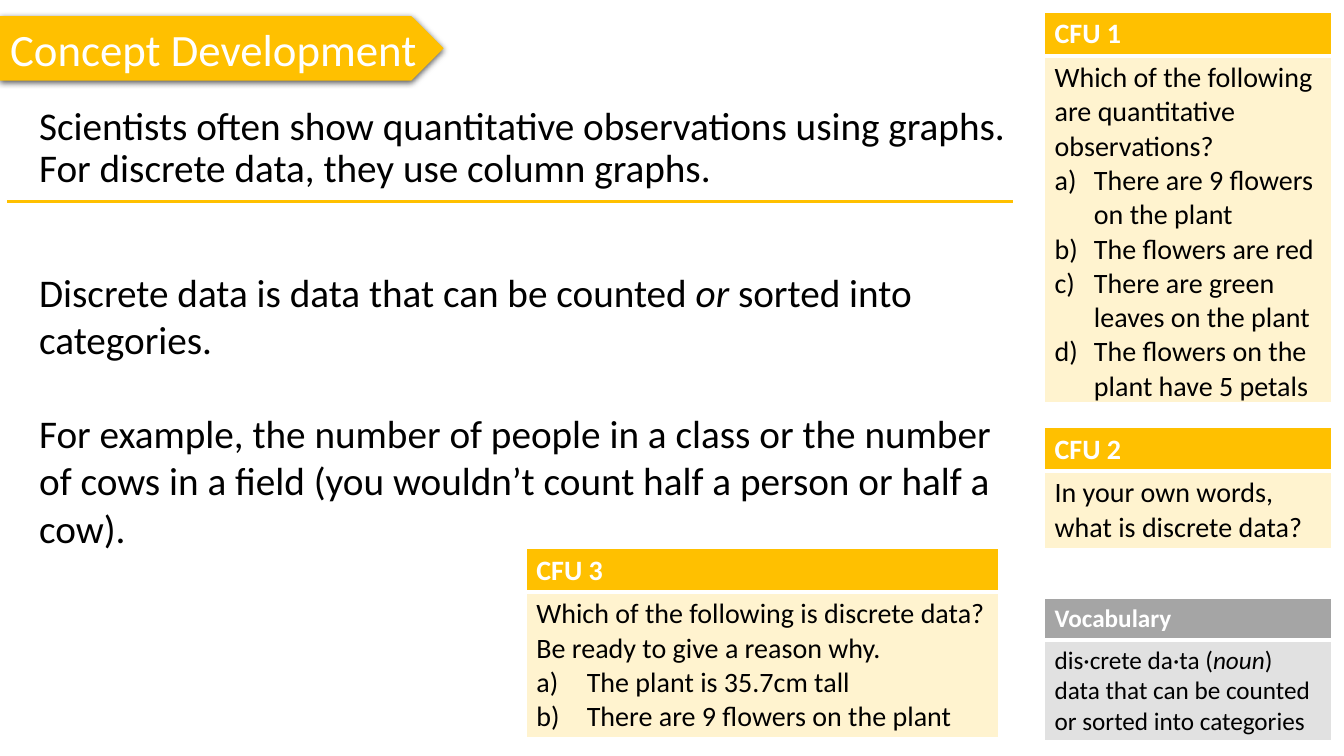
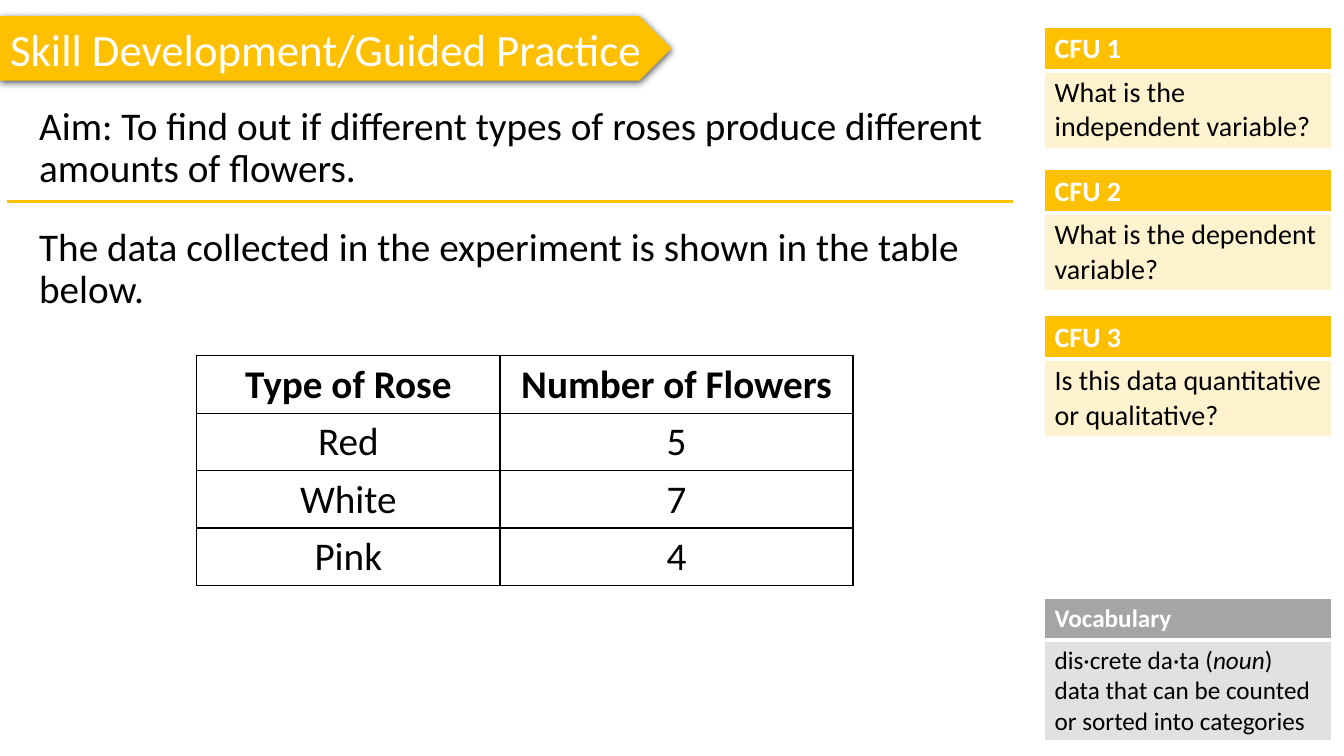
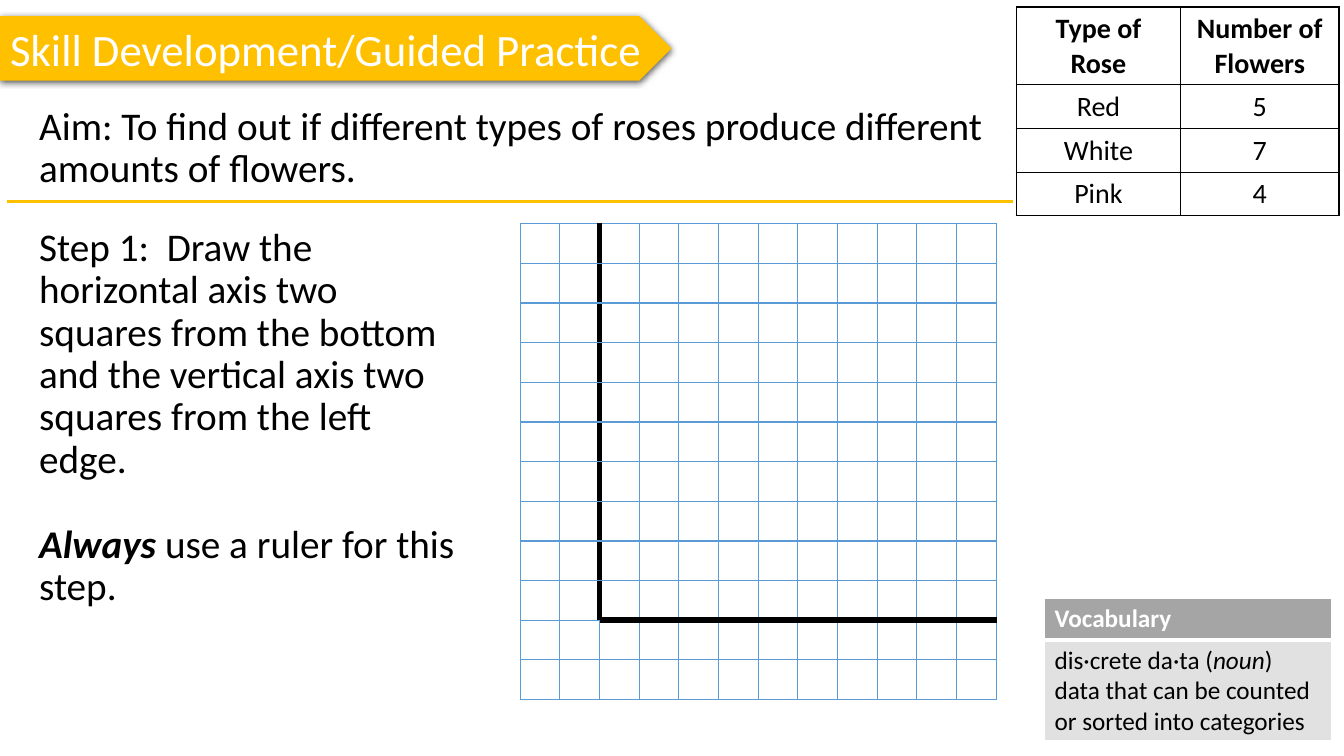
from lxml import etree
from pptx import Presentation
from pptx.dml.color import RGBColor
from pptx.enum.shapes import MSO_CONNECTOR, MSO_SHAPE
from pptx.enum.text import MSO_ANCHOR, MSO_AUTO_SIZE, PP_ALIGN
from pptx.oxml.ns import qn
from pptx.util import Inches, Pt

PENTAGON = MSO_SHAPE.PENTAGON
STRAIGHT = MSO_CONNECTOR.STRAIGHT
MIDDLE, TOP = MSO_ANCHOR.MIDDLE, MSO_ANCHOR.TOP
LEFT, CENTER = PP_ALIGN.LEFT, PP_ALIGN.CENTER
FIXED = MSO_AUTO_SIZE.NONE

GOLD = RGBColor(0xFF, 0xC0, 0x00)
CREAM = RGBColor(0xFF, 0xE6, 0x99)
GREY = RGBColor(0xA5, 0xA5, 0xA5)
PALE_GREY = RGBColor(0xE1, 0xE1, 0xE1)
GRID_BLUE = RGBColor(0x5B, 0x9B, 0xD5)
BLACK = RGBColor(0x00, 0x00, 0x00)
WHITE = RGBColor(0xFF, 0xFF, 0xFF)

FONT = "Calibri"
SIDE_LEFT, SIDE_WIDTH = 10.36, 2.85
BODY_LEFT = 0.29
GRID_CELLS = 12
AXIS_OFFSET = 2

SKILL_TITLE = "Skill Development/Guided Practice"
AIM = "Aim: To find out if different types of roses produce different amounts of flowers."
ROSES = [
    ("Type of Rose", "Number of Flowers"),
    ("Red", "5"),
    ("White", "7"),
    ("Pink", "4"),
]
DEFINITION = [
    ("dis·crete da·ta (", ""),
    ("noun", "i"),
    (")\ndata that can be counted or sorted into categories", ""),
]


def add_xml(parent, tag, **attributes):
    """Append a drawing element with the given attributes."""
    child = etree.SubElement(parent, qn(tag))
    for name, value in attributes.items():
        child.set(name, str(value))
    return child


def write(frame, paras, size=28, color=BLACK, bold=False, align=LEFT,
          spacing=1.0, gap=0, letter_indent=None):
    """Write paragraphs of (text, style) spans, lettering those after the first on request."""
    frame.word_wrap = True
    for index, spans in enumerate(paras):
        para = frame.paragraphs[0] if index == 0 else frame.add_paragraph()
        if index and letter_indent:
            properties = para._p.get_or_add_pPr()
            properties.set("marL", str(Inches(letter_indent)))
            properties.set("indent", str(-Inches(letter_indent)))
            add_xml(properties, "a:buAutoNum", type="alphaLcParenR")
        para.alignment = align
        para.line_spacing = spacing
        if index and gap:
            para.space_before = Pt(gap)
        for text, style in [(spans, "")] if isinstance(spans, str) else spans:
            for number, line in enumerate(text.split("\n")):
                if number:
                    para.add_line_break()
                span = para.add_run()
                span.text = line
                span.font.name = FONT
                span.font.size = Pt(size)
                span.font.color.rgb = color
                span.font.bold = bold or "b" in style
                span.font.italic = "i" in style


def body_text(page, top, width, height, paras, **style):
    """Place a text box at the left margin."""
    box = page.shapes.add_textbox(
        Inches(BODY_LEFT), Inches(top), Inches(width), Inches(height))
    write(box.text_frame, paras, **style)


def new_table(page, left, top, widths, heights):
    """Add a table without the default style bands."""
    frame = page.shapes.add_table(
        len(heights), len(widths), Inches(left), Inches(top),
        Inches(sum(widths)), Inches(sum(heights)))
    table = frame.table
    table.first_row = table.horz_banding = False
    for column, width in zip(table.columns, widths):
        column.width = Inches(width)
    for row, height in zip(table.rows, heights):
        row.height = Inches(height)
    return table


def style_cell(cell, color, fill=None, alpha=None, **edges):
    """Set cell borders, with optional (color, points) per edge, and the fill."""
    properties = cell._tc.get_or_add_tcPr()
    for edge in "LRTB":
        line_color, points = edges.get(edge, (color, 1))
        line = add_xml(properties, "a:ln" + edge, w=Pt(points))
        solid = add_xml(line, "a:solidFill")
        add_xml(solid, "a:srgbClr", val=line_color)
    if fill is None:
        cell.fill.background()
        return
    cell.fill.solid()
    cell.fill.fore_color.rgb = fill
    if alpha:
        tint = properties.find(qn("a:solidFill")).find(qn("a:srgbClr"))
        add_xml(tint, "a:alpha", val=alpha * 1000)


def card(page, top, height, heading, paras, left=SIDE_LEFT, width=SIDE_WIDTH,
         size=20, head_fill=GOLD, body_fill=CREAM, alpha=47, head_height=0.43,
         letter_indent=None):
    """Place a headed card made of a two-row table."""
    table = new_table(page, left, top, [width], [head_height, height - head_height])
    head, body = table.cell(0, 0), table.cell(1, 0)
    style_cell(head, WHITE, head_fill, B=(WHITE, 3))
    style_cell(body, WHITE, body_fill, alpha, T=(WHITE, 3))
    write(head.text_frame, [heading], size=size, color=WHITE, bold=True)
    write(body.text_frame, paras, size=size, letter_indent=letter_indent)


def vocabulary(page):
    """Place the grey vocabulary card at the lower right."""
    card(page, 5.94, 1.41, "Vocabulary", [DEFINITION], size=18, head_fill=GREY,
         body_fill=PALE_GREY, alpha=None, head_height=0.41)


def rose_table(page, left, top, widths, heights, size):
    """Place the table of rose counts."""
    table = new_table(page, left, top, widths, heights)
    for row, values in enumerate(ROSES):
        for column, value in enumerate(values):
            cell = table.cell(row, column)
            style_cell(cell, BLACK)
            cell.vertical_anchor = MIDDLE
            write(cell.text_frame, [value], size=size, bold=row == 0, align=CENTER)


def graph_grid(page, left, top, side):
    """Place squared paper with two heavy axes."""
    steps = [side / GRID_CELLS] * GRID_CELLS
    table = new_table(page, left, top, steps, steps)
    base = GRID_CELLS - AXIS_OFFSET
    axis = (BLACK, 4.5)
    for row in range(GRID_CELLS):
        for column in range(GRID_CELLS):
            edges = {}
            if row < base and column == AXIS_OFFSET - 1:
                edges["R"] = axis
            if row < base and column == AXIS_OFFSET:
                edges["L"] = axis
            if column >= AXIS_OFFSET and row == base - 1:
                edges["B"] = axis
            if column >= AXIS_OFFSET and row == base:
                edges["T"] = axis
            cell = table.cell(row, column)
            cell.margin_left = cell.margin_right = 0
            cell.margin_top = cell.margin_bottom = 0
            style_cell(cell, GRID_BLUE, WHITE, **edges)


def banner(page, title, width, top=0.16, height=0.64):
    """Place the arrow banner with the slide title on it."""
    arrow = page.shapes.add_shape(
        PENTAGON, 0, Inches(top), Inches(width), Inches(height))
    arrow.fill.solid()
    arrow.fill.fore_color.rgb = GOLD
    arrow.line.fill.background()
    arrow.shadow.inherit = False
    effects = arrow._element.spPr.find(qn("a:effectLst"))
    shadow = add_xml(effects, "a:outerShdw", blurRad=Pt(4.5), dist=Pt(1.5),
                     dir=5400000, algn="t", rotWithShape=0)
    tint = add_xml(shadow, "a:srgbClr", val=BLACK)
    add_xml(tint, "a:alpha", val=63000)

    heading = page.shapes.title
    heading.left, heading.top = 0, Inches(top)
    heading.width, heading.height = Inches(width), Inches(height)
    heading.text_frame.auto_size = FIXED
    heading.text_frame.vertical_anchor = MIDDLE
    write(heading.text_frame, [title], size=32, color=WHITE)
    heading._element.addprevious(arrow._element)


def new_page(deck, title, banner_width, lead, lead_width):
    """Add a slide with banner, lead sentence, rule and vocabulary card."""
    page = deck.slides.add_slide(deck.slide_layouts[5])
    banner(page, title, banner_width)
    body_text(page, 1.01, lead_width, 1.31, [lead], spacing=0.9)
    rule = page.shapes.add_connector(
        STRAIGHT, Inches(0.07), Inches(2), Inches(10.05), Inches(2))
    rule.line.color.rgb = GOLD
    rule.line.width = Pt(2.25)
    add_xml(rule._element.spPr, "a:effectLst")
    vocabulary(page)
    return page


def concept_page(deck):
    """Build the slide that explains discrete data."""
    page = new_page(
        deck, "Concept Development", 4.4,
        "Scientists often show quantitative observations using graphs. "
        "For discrete data, they use column graphs.", 9.86)
    body_text(page, 2.61, 9.66, 4.03, [
        [("Discrete data is data that can be counted ", ""), ("or", "i"),
         (" sorted into categories.", "")],
        "For example, the number of people in a class or the number of cows in a "
        "field (you wouldn’t count half a person or half a cow).",
    ], gap=34)
    card(page, 0.12, 3.87, "CFU 1", [
        "Which of the following are quantitative observations?",
        "There are 9 flowers on the plant",
        "The flowers are red",
        "There are green leaves on the plant",
        "The flowers on the plant have 5 petals",
    ], letter_indent=0.39)
    card(page, 4.24, 1.2, "CFU 2", ["In your own words, what is discrete data?"])
    card(page, 5.44, 1.87, "CFU 3", [
        "Which of the following is discrete data? Be ready to give a reason why.",
        "The plant is 35.7cm tall",
        "There are 9 flowers on the plant",
    ], left=5.22, width=4.68, letter_indent=0.5)


def data_page(deck):
    """Build the slide that shows the collected data."""
    page = new_page(deck, SKILL_TITLE, 6.66, AIM, 9.76)
    body_text(page, 2.21, 9.76, 1.31, [
        "The data collected in the experiment is shown in the table below."], spacing=0.9)
    rose_table(page, 1.95, 3.53, [3.01, 3.5], [0.57] * 4, size=28)
    questions = [
        (0.27, "What is the independent variable?"),
        (1.68, "What is the dependent variable?"),
        (3.13, "Is this data quantitative or qualitative?"),
    ]
    for number, (top, question) in enumerate(questions, 1):
        card(page, top, 1.2, f"CFU {number}", [question])


def axes_page(deck):
    """Build the slide that shows how to draw the axes."""
    page = new_page(deck, SKILL_TITLE, 6.66, AIM, 9.64)
    rose_table(page, 10.08, 0.07, [1.63, 1.57], [0.77] + [0.43] * 3, size=20)
    body_text(page, 2.21, 4.36, 3.93, [
        "Step 1:  Draw the horizontal axis two squares from the bottom and the "
        "vertical axis two squares from the left edge.",
        [("Always ", "bi"), ("use a ruler for this step.", "")],
    ], spacing=0.9, gap=30.5)
    graph_grid(page, 5.16, 2.22, 4.72)


def main():
    """Build and save the deck."""
    deck = Presentation()
    deck.slide_width, deck.slide_height = Inches(13.33), Inches(7.5)
    concept_page(deck)
    data_page(deck)
    axes_page(deck)
    deck.save("out.pptx")


if __name__ == "__main__":
    main()
